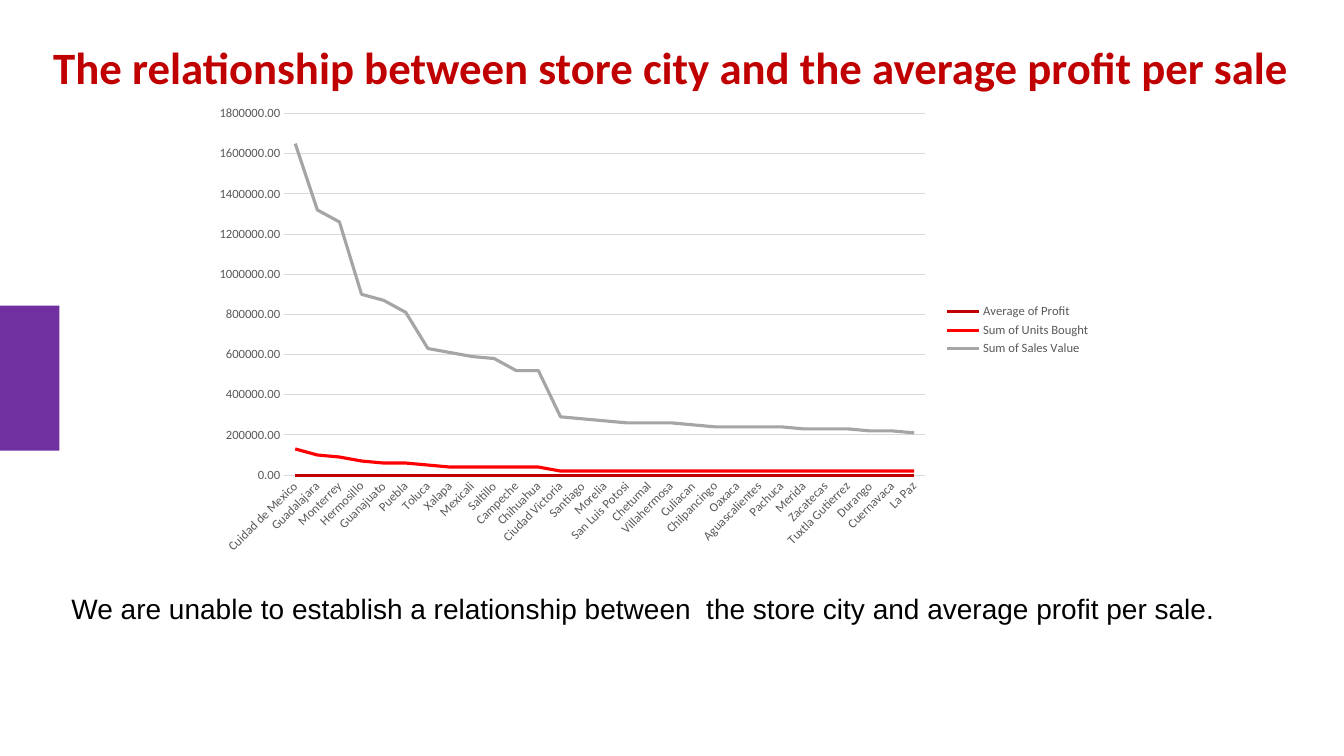
from pptx import Presentation
from pptx.chart.data import CategoryChartData
from pptx.dml.color import RGBColor
from pptx.enum.chart import XL_CHART_TYPE, XL_LEGEND_POSITION, XL_TICK_MARK
from pptx.enum.shapes import MSO_SHAPE
from pptx.enum.text import MSO_ANCHOR, PP_ALIGN
from pptx.oxml.ns import qn
from pptx.util import Cm, Pt

COLORS = {
    "accent": "7030A0",
    "title": "C00000",
    "body": "000000",
    "profit": "C00000",
    "units": "FF0000",
    "sales": "A5A5A5",
    "label": "595959",
    "grid": "D9D9D9",
}
CITIES = [
    "Cuidad de Mexico", "Guadalajara", "Monterrey", "Hermosillo", "Guanajuato",
    "Puebla", "Toluca", "Xalapa", "Mexicali", "Saltillo", "Campeche", "Chihuahua",
    "Ciudad Victoria", "Santiago", "Morelia", "San Luis Potosi", "Chetumal",
    "Villahermosa", "Culiacan", "Chilpancingo", "Oaxaca", "Aguascalientes",
    "Pachuca", "Merida", "Zacatecas", "Tuxtla Gutierrez", "Durango",
    "Cuernavaca", "La Paz",
]
UNITS = [130000, 100000, 90000, 70000, 60000, 60000, 50000] + [40000] * 5 + [20000] * 17
SALES = [
    1650000, 1320000, 1260000, 900000, 870000, 810000, 630000, 610000, 590000,
    580000, 520000, 520000, 290000, 280000, 270000, 260000, 260000, 260000,
    250000, 240000, 240000, 240000, 240000, 230000, 230000, 230000, 220000,
    220000, 210000,
]
SERIES = [
    ("Average of Profit", "profit", [0] * len(CITIES)),
    ("Sum of Units Bought", "units", UNITS),
    ("Sum of Sales Value", "sales", SALES),
]


def rgb(name):
    """Return the named colour."""
    return RGBColor.from_string(COLORS[name])


def style_font(font, size, color, family="Calibri", bold=False):
    """Set the look of a font."""
    font.size = Pt(size)
    font.name = family
    font.bold = bold
    font.color.rgb = rgb(color)


def style_line(line, color, width):
    """Set the colour and width of a line."""
    line.color.rgb = rgb(color)
    line.width = Pt(width)


def add_block(page, left, top, width, height, color):
    """Add a plain filled rectangle."""
    block = page.shapes.add_shape(
        MSO_SHAPE.RECTANGLE, Cm(left), Cm(top), Cm(width), Cm(height))
    block.shadow.inherit = False
    block.fill.solid()
    block.fill.fore_color.rgb = rgb(color)
    block.line.fill.background()


def add_text(page, left, top, width, height, text, align, anchor, **look):
    """Add a text box with one paragraph and no margins."""
    box = page.shapes.add_textbox(Cm(left), Cm(top), Cm(width), Cm(height))
    frame = box.text_frame
    frame.word_wrap = True
    frame.vertical_anchor = anchor
    frame.margin_left = frame.margin_right = 0
    frame.margin_top = frame.margin_bottom = 0
    para = frame.paragraphs[0]
    para.alignment = align
    para.line_spacing = 0.9
    span = para.add_run()
    span.text = text
    style_font(span.font, **look)


def style_axes(chart):
    """Style the city axis and the value axis."""
    for axis in (chart.category_axis, chart.value_axis):
        axis.major_tick_mark = axis.minor_tick_mark = XL_TICK_MARK.NONE
        style_font(axis.tick_labels.font, 9, "label")
    cities, values = chart.category_axis, chart.value_axis
    style_line(cities.format.line, "grid", 0.75)
    labels = cities._element.find(qn("c:txPr")).find(qn("a:bodyPr"))
    labels.set("rot", "-2700000")
    labels.set("vert", "horz")
    values.format.line.fill.background()
    values.has_major_gridlines = True
    style_line(values.major_gridlines.format.line, "grid", 0.75)
    values.tick_labels.number_format = "0.00"
    values.tick_labels.number_format_is_linked = False


def add_line_chart(page, left, top, width, height):
    """Add the line chart of figures by store city."""
    data = CategoryChartData(number_format="0.00")
    data.categories = CITIES
    for name, _, figures in SERIES:
        data.add_series(name, figures)
    chart = page.shapes.add_chart(
        XL_CHART_TYPE.LINE, Cm(left), Cm(top), Cm(width), Cm(height), data).chart
    style_font(chart.font, 10, "body")
    chart.has_title = False
    chart.has_legend = True
    chart.legend.position = XL_LEGEND_POSITION.RIGHT
    chart.legend.include_in_layout = False
    style_font(chart.legend.font, 9, "label")
    style_axes(chart)
    plot = chart.plots[0]
    plot.vary_by_categories = False
    for series, (_, color, _) in zip(plot.series, SERIES):
        series.smooth = False
        style_line(series.format.line, color, 2.25)


def main():
    """Build and save the deck."""
    deck = Presentation()
    deck.slide_width, deck.slide_height = Cm(33.87), Cm(19.05)
    page = deck.slides.add_slide(deck.slide_layouts[6])
    add_block(page, 0, 7.7, 1.5, 3.66, "accent")
    add_text(page, 0.76, 1.02, 32.31, 1.5,
             "The relationship between store city and the average profit per sale",
             PP_ALIGN.CENTER, MSO_ANCHOR.MIDDLE, size=32, color="title", bold=True)
    add_line_chart(page, 5.08, 2.44, 22.66, 11.76)
    add_text(page, 1.8, 14.99, 29.21, 1.96,
             "We are unable to establish a relationship between  the store city "
             "and average profit per sale.",
             PP_ALIGN.LEFT, MSO_ANCHOR.TOP, size=20, color="body", family="Arial")
    deck.save("out.pptx")


if __name__ == "__main__":
    main()
